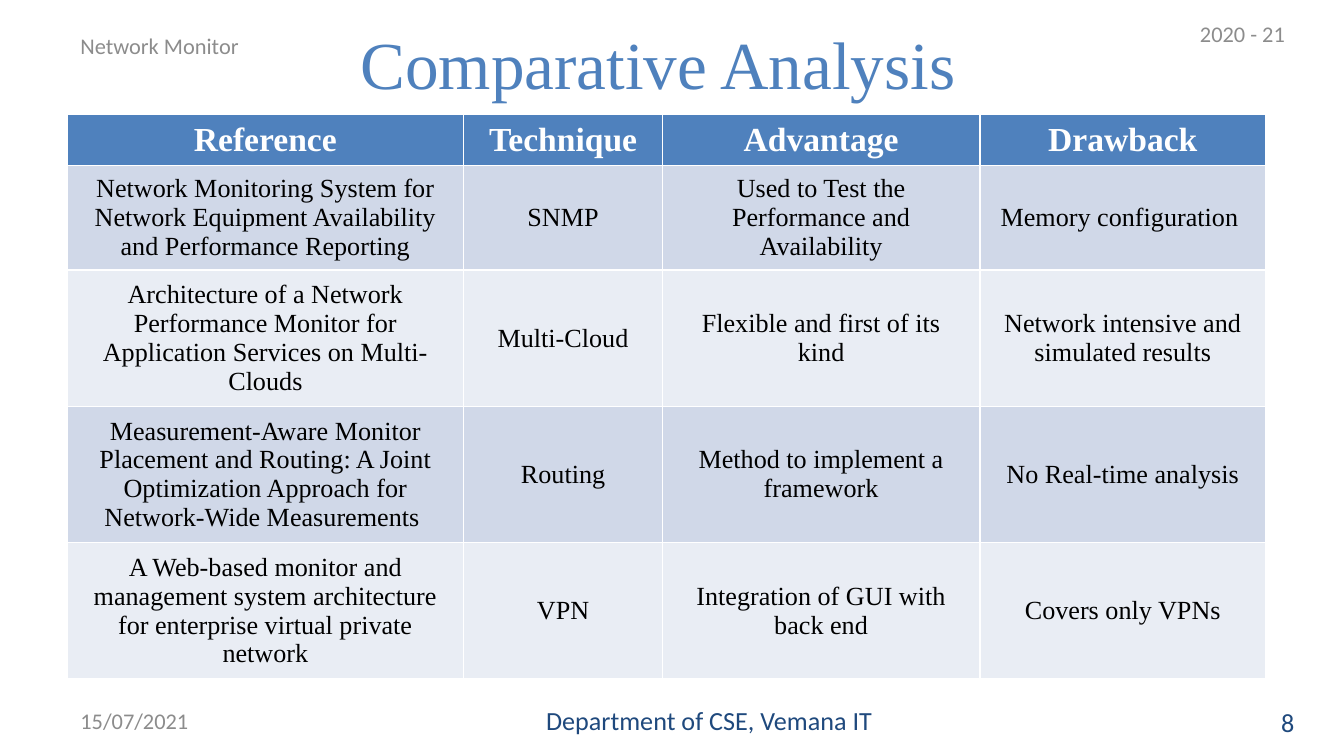
import dataclasses

import pptx
import pptx.dml.color
import pptx.enum.text
import pptx.util

Inches = pptx.util.Inches
Align = pptx.enum.text.PP_ALIGN
MIDDLE = pptx.enum.text.MSO_ANCHOR.MIDDLE


@dataclasses.dataclass(frozen=True)
class Theme:
    serif: str = "Times New Roman"
    sans: str = "Calibri"
    accent: str = "4F81BD"
    navy: str = "1F497D"
    grey: str = "8C8C8C"
    white: str = "FFFFFF"
    black: str = "000000"
    bands: tuple = ("D0D8E8", "E9EDF4")
    title_size: int = 36
    header_size: int = 18
    body_size: int = 14
    note_size: int = 12


THEME = Theme()

COLUMN_WIDTHS = (2.95, 1.48, 2.36, 2.13)
ROW_HEIGHTS = (0.38, 0.74, 0.96, 0.96, 0.96)
CELL_PADDING = 0.04
ROWS = (
    ("Reference", "Technique", "Advantage", "Drawback"),
    ("Network Monitoring System for Network Equipment Availability and Performance Reporting",
     "SNMP", "Used to Test the Performance and Availability", "Memory configuration "),
    ("Architecture of a Network Performance Monitor for Application Services on Multi-Clouds",
     "Multi-Cloud", "Flexible and first of its kind", "Network intensive and simulated results"),
    ("Measurement-Aware Monitor Placement and Routing: A Joint Optimization Approach "
     "for Network-Wide Measurements ",
     "Routing", "Method to implement a framework", "No Real-time analysis"),
    ("A Web-based monitor and management system architecture for enterprise virtual private network",
     "VPN", "Integration of GUI with back end", "Covers only VPNs"),
)


def rgb(value):
    return pptx.dml.color.RGBColor.from_string(value)


def write(frame, text, font, size, color, align, bold=False):
    frame.text = text
    para = frame.paragraphs[0]
    para.alignment = align
    for span in para.runs:
        span.font.name = font
        span.font.size = pptx.util.Pt(size)
        span.font.bold = bold
        span.font.color.rgb = rgb(color)


def add_label(page, box, text, size, color, align=Align.LEFT):
    frame = page.shapes.add_textbox(*map(Inches, box)).text_frame
    frame.word_wrap = True
    frame.vertical_anchor = MIDDLE
    write(frame, text, THEME.sans, size, color, align)


def add_heading(page, box):
    """Title with the project name on its left and the year on its right."""
    left, top, width, height = box
    title = page.shapes.title
    title.left, title.top = Inches(left - 0.04), Inches(top + 0.03)
    title.width, title.height = Inches(9), Inches(height - 0.03)
    title.text_frame.vertical_anchor = MIDDLE
    title.text_frame.auto_size = pptx.enum.text.MSO_AUTO_SIZE.NONE
    write(title.text_frame, "Comparative Analysis ", THEME.serif,
          THEME.title_size, THEME.accent, Align.CENTER)
    add_label(page, (left, top + 0.17, 3.08, 0.22), "Network Monitor",
              THEME.note_size, THEME.grey)
    add_label(page, (left + width - 1.08, top, 1.08, 0.38), "2020 - 21",
              THEME.note_size, THEME.grey)


def add_comparison(page, box):
    """Banded table of the four reviewed papers; its style draws the white rules."""
    table = page.shapes.add_table(len(ROWS), len(COLUMN_WIDTHS), *map(Inches, box)).table
    for column, width in zip(table.columns, COLUMN_WIDTHS):
        column.width = Inches(width)
    for index, (height, texts) in enumerate(zip(ROW_HEIGHTS, ROWS)):
        table.rows[index].height = Inches(height)
        header = index == 0
        fill = THEME.accent if header else THEME.bands[(index - 1) % 2]
        size = THEME.header_size if header else THEME.body_size
        color = THEME.white if header else THEME.black
        for cell, text in zip(table.rows[index].cells, texts):
            cell.fill.solid()
            cell.fill.fore_color.rgb = rgb(fill)
            cell.vertical_anchor = MIDDLE
            cell.margin_top = cell.margin_bottom = Inches(CELL_PADDING)
            write(cell.text_frame, text, THEME.serif, size, color, Align.CENTER, header)


def add_footer(page, box):
    """Date, department and page number."""
    left, top, width, height = box
    add_label(page, (left, top, 2.33, height), "15/07/2021", THEME.note_size, THEME.grey)
    add_label(page, (left + 2.92, top, 3.17, height), "Department of CSE, Vemana IT",
              THEME.body_size, THEME.navy, Align.RIGHT)
    add_label(page, (left + width - 0.73, top + 0.01, 0.73, height), "8",
              THEME.body_size, THEME.navy, Align.RIGHT)


def main():
    deck = pptx.Presentation()
    # Widescreen, 16:9
    deck.slide_width = Inches(10)
    deck.slide_height = deck.slide_width * 9 // 16
    page = deck.slides.add_slide(deck.slide_layouts[5])
    page.background.fill.solid()
    page.background.fill.fore_color.rgb = rgb(THEME.white)
    add_heading(page, (0.5, 0.06, 9.41, 0.78))
    add_comparison(page, (0.5, 0.85, sum(COLUMN_WIDTHS), sum(ROW_HEIGHTS)))
    add_footer(page, (0.5, 5.21, 9.23, 0.3))
    deck.save("out.pptx")


if __name__ == "__main__":
    main()
